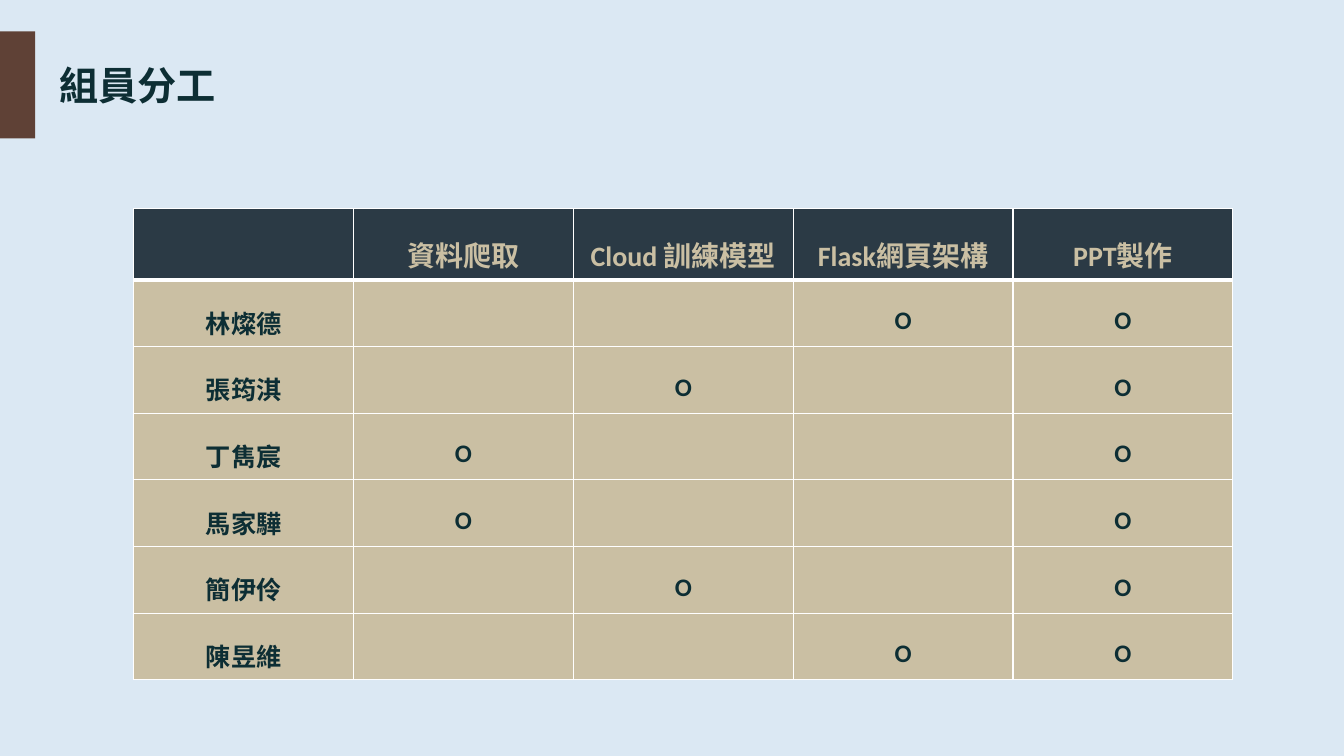
import lxml.etree
import pptx
import pptx.dml.color
import pptx.enum.shapes
import pptx.enum.text
import pptx.oxml.ns
import pptx.util

Cm = pptx.util.Cm
Pt = pptx.util.Pt
RGBColor = pptx.dml.color.RGBColor
qn = pptx.oxml.ns.qn

SKY = RGBColor(0xDB, 0xE8, 0xF3)
BROWN = RGBColor(0x5F, 0x41, 0x36)
INK = RGBColor(0x0D, 0x2E, 0x34)
SLATE = RGBColor(0x2B, 0x3A, 0x45)
SAND = RGBColor(0xCA, 0xBF, 0xA3)
WHITE = RGBColor(0xFF, 0xFF, 0xFF)

CHINESE_FONT = "Noto Sans CJK TC"
TASKS = ["資料爬取", "Cloud 訓練模型", "Flask網頁架構", "PPT製作"]
MEMBER_TASKS = {
    "林燦德": (2, 3),
    "張筠淇": (1, 3),
    "丁雋宸": (0, 3),
    "馬家驊": (0, 3),
    "簡伊伶": (1, 3),
    "陳昱維": (2, 3),
}


def add_span(para, text, size, font, color):
    span = para.add_run()
    span.text = text
    span.font.size = Pt(size)
    span.font.bold = True
    span.font.name = font
    span.font.color.rgb = color
    east_asian = lxml.etree.SubElement(span.font._element, qn("a:ea"))
    east_asian.set("typeface", CHINESE_FONT)


def add_heading(page, text, left, top, height):
    bar_width = Cm(0.89)
    bar = page.shapes.add_shape(
        pptx.enum.shapes.MSO_SHAPE.RECTANGLE, left, top, bar_width, height)
    bar.shadow.inherit = False
    bar.fill.solid()
    bar.fill.fore_color.rgb = BROWN
    bar.line.fill.background()

    title_height = Cm(1.45)
    box = page.shapes.add_textbox(
        left + bar_width + Cm(0.35), top + (height - title_height) // 2,
        Cm(4.5), title_height)
    box.text_frame.word_wrap = False
    box.text_frame.auto_size = pptx.enum.text.MSO_AUTO_SIZE.SHAPE_TO_FIT_TEXT
    add_span(box.text_frame.paragraphs[0], text, 28, "Lato", INK)


def style_cell(cell, fill, bottom=1, top=1):
    properties = cell._tc.get_or_add_tcPr()
    for side, width in (("L", 1), ("R", 1), ("T", top), ("B", bottom)):
        line = lxml.etree.SubElement(properties, qn(f"a:ln{side}"), w=str(Pt(width)))
        solid = lxml.etree.SubElement(line, qn("a:solidFill"))
        lxml.etree.SubElement(solid, qn("a:srgbClr"), val=str(WHITE))
    cell.fill.solid()
    cell.fill.fore_color.rgb = fill
    cell.vertical_anchor = pptx.enum.text.MSO_ANCHOR.MIDDLE


def write_cell(cell, text, size, font, color):
    para = cell.text_frame.paragraphs[0]
    para.alignment = pptx.enum.text.PP_ALIGN.CENTER
    para.line_spacing = 1.5
    add_span(para, text, size, font, color)


def add_task_table(page, left, top, width, header_height, row_height):
    row_count = len(MEMBER_TASKS) + 1
    column_count = len(TASKS) + 1
    height = header_height + row_height * len(MEMBER_TASKS)
    table = page.shapes.add_table(
        row_count, column_count, left, top, width, height).table
    table.first_row = False
    table.horz_banding = False
    for column in table.columns:
        column.width = width // column_count
    for index, row in enumerate(table.rows):
        row.height = row_height if index else header_height
        for cell in row.cells:
            if index == 0:
                style_cell(cell, SLATE, bottom=3)
            else:
                style_cell(cell, SAND, top=3 if index == 1 else 1)

    for column, task in enumerate(TASKS, 1):
        write_cell(table.cell(0, column), task, 20, "Calibri", SAND)
    for row, (member, tasks) in enumerate(MEMBER_TASKS.items(), 1):
        name_cell = table.cell(row, 0)
        name_cell.margin_left = name_cell.margin_right = Cm(0.08)
        name_cell.margin_top = name_cell.margin_bottom = Cm(0.05)
        write_cell(name_cell, member, 18, CHINESE_FONT, INK)
        for task in tasks:
            write_cell(table.cell(row, task + 1), "O", 18, "Calibri", INK)


def main():
    deck = pptx.Presentation()
    deck.slide_width = Cm(33.87)
    deck.slide_height = Cm(19.05)
    page = deck.slides.add_slide(deck.slide_layouts[6])
    page.background.fill.solid()
    page.background.fill.fore_color.rgb = SKY
    add_task_table(page, Cm(3.37), Cm(5.26), Cm(27.7), Cm(1.78), Cm(1.68))
    add_heading(page, "組員分工", Cm(0), Cm(0.79), Cm(2.7))
    deck.save("out.pptx")


if __name__ == "__main__":
    main()
